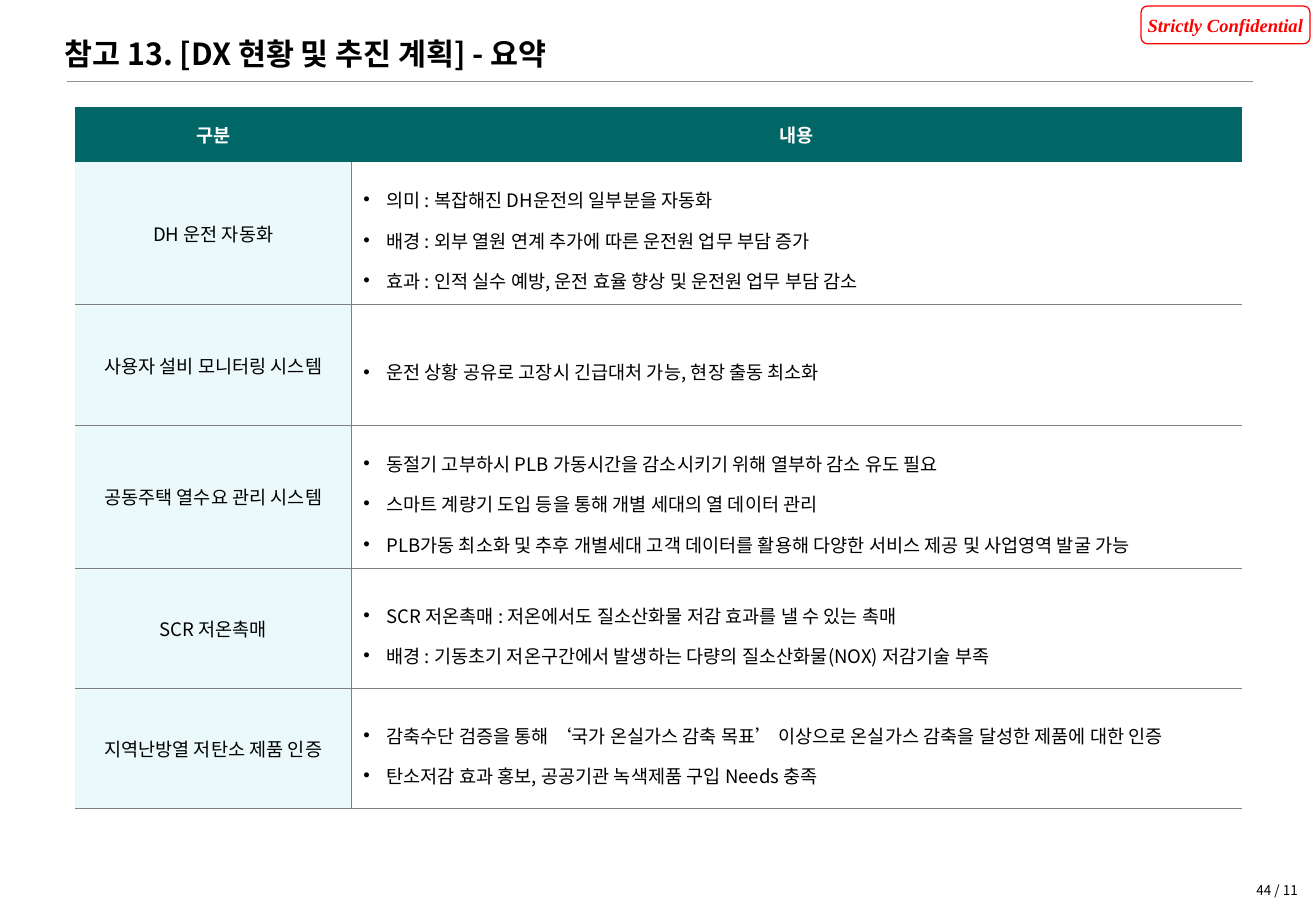
from dataclasses import dataclass

from lxml import etree
from pptx import Presentation
from pptx import util as u
from pptx.dml.color import RGBColor
from pptx.enum import shapes, text
from pptx.oxml import ns


@dataclass(frozen=True)
class Theme:
    """Hold the colours, fonts and type sizes of the slide."""
    body_font: str = "Noto Sans CJK KR"
    stamp_font: str = "Times New Roman"
    ink: str = "000000"
    white: str = "FFFFFF"
    stamp: str = "FF0000"
    rule: str = "929292"
    grid: str = "808080"
    header: str = "006666"
    topic: str = "EBF9FB"
    title_size: int = 18
    body_size: int = 11
    page_size: int = 8


THEME = Theme()
ALIGN = text.PP_ALIGN
MIDDLE = text.MSO_ANCHOR.MIDDLE
HEADINGS = ("구분", "내용")
TOPICS = {
    "DH 운전 자동화": (
        "의미 : 복잡해진 DH운전의 일부분을 자동화",
        "배경 : 외부 열원 연계 추가에 따른 운전원 업무 부담 증가",
        "효과 : 인적 실수 예방, 운전 효율 향상 및 운전원 업무 부담 감소",
    ),
    "사용자 설비 모니터링 시스템": (
        "운전 상황 공유로 고장시 긴급대처 가능, 현장 출동 최소화",
    ),
    "공동주택 열수요 관리 시스템": (
        "동절기 고부하시 PLB 가동시간을 감소시키기 위해 열부하 감소 유도 필요",
        "스마트 계량기 도입 등을 통해 개별 세대의 열 데이터 관리",
        "PLB가동 최소화 및 추후 개별세대 고객 데이터를 활용해 다양한 서비스 제공 및 사업영역 발굴 가능",
    ),
    "SCR 저온촉매": (
        "SCR 저온촉매 : 저온에서도 질소산화물 저감 효과를 낼 수 있는 촉매",
        "배경 : 기동초기 저온구간에서 발생하는 다량의 질소산화물(NOX) 저감기술 부족",
    ),
    "지역난방열 저탄소 제품 인증": (
        "감축수단 검증을 통해 ‘국가 온실가스 감축 목표’ 이상으로 온실가스 감축을 달성한 제품에 대한 인증",
        "탄소저감 효과 홍보, 공공기관 녹색제품 구입 Needs 충족",
    ),
}


def rgb(code):
    """Turn a hex code into a colour."""
    return RGBColor.from_string(code)


def add_element(parent, tag, **attributes):
    """Append a drawing element to its parent."""
    return etree.SubElement(parent, ns.qn(tag), attributes)


def style(paragraph, size, color=THEME.ink, align=ALIGN.LEFT, bold=False,
          italic=False, face=THEME.body_font):
    """Set the alignment and font of a paragraph."""
    paragraph.alignment = align
    font = paragraph.font
    font.size, font.bold, font.italic = u.Pt(size), bold, italic
    font.color.rgb = rgb(color)
    font.name = face
    add_element(font._element, "a:ea", typeface=face)


def set_insets(frame, left, top, right, bottom):
    """Set the four inner margins of a text frame or cell."""
    frame.margin_left, frame.margin_top = u.Inches(left), u.Inches(top)
    frame.margin_right, frame.margin_bottom = u.Inches(right), u.Inches(bottom)


def add_bullet(paragraph):
    """Give a paragraph a hanging bullet and open line spacing."""
    paragraph.line_spacing = 1.5
    properties = paragraph._p.get_or_add_pPr()
    properties.set("marL", str(u.Inches(0.19)))
    properties.set("indent", str(-u.Inches(0.19)))
    add_element(properties, "a:buFont", typeface="Arial")
    add_element(properties, "a:buChar", char="•")


def set_borders(cell, sides):
    """Draw the named sides of a cell and clear the others."""
    properties = cell._tc.get_or_add_tcPr()
    for side in "LRTB":
        border = add_element(properties, f"a:ln{side}", w=str(u.Pt(0.5)))
        if side in sides:
            fill = add_element(border, "a:solidFill")
            add_element(fill, "a:srgbClr", val=THEME.grid)
        else:
            add_element(border, "a:noFill")


def fill_cell(cell, lines, sides, fill=None, bulleted=False, **font):
    """Write, border and fill one table cell."""
    cell.vertical_anchor = MIDDLE
    set_insets(cell, 0.1, 0.04, 0.1, 0.04)
    frame = cell.text_frame
    frame.text = "\n".join(lines)
    for paragraph in frame.paragraphs:
        if bulleted:
            add_bullet(paragraph)
        style(paragraph, THEME.body_size, **font)
    set_borders(cell, sides)
    if fill:
        cell.fill.solid()
        cell.fill.fore_color.rgb = rgb(fill)
    else:
        cell.fill.background()


def add_title(slide, wording):
    """Place and format the slide title."""
    title = slide.shapes.title
    title.left, title.top = u.Inches(0.53), u.Inches(0.28)
    title.width, title.height = u.Inches(6.94), u.Inches(0.36)
    frame = title.text_frame
    frame.text = wording
    frame.vertical_anchor = text.MSO_ANCHOR.TOP
    frame.auto_size = text.MSO_AUTO_SIZE.NONE
    set_insets(frame, 0, 0.05, 0.1, 0.05)
    heading = frame.paragraphs[0]
    heading.line_spacing = 0.86
    style(heading, THEME.title_size, bold=True)


def add_rule(slide):
    """Draw the thin line under the title."""
    rule = slide.shapes.add_connector(
        shapes.MSO_CONNECTOR.STRAIGHT, u.Inches(0.55), u.Inches(0.67),
        u.Inches(10.31), u.Inches(0.67))
    rule.line.color.rgb = rgb(THEME.rule)
    rule.line.width = u.Pt(0.5)
    add_element(rule._element.spPr, "a:effectLst")


def add_stamp(slide, wording):
    """Add the outlined confidentiality stamp."""
    stamp = slide.shapes.add_shape(
        shapes.MSO_SHAPE.ROUNDED_RECTANGLE, u.Inches(9.39), u.Inches(0.05),
        u.Inches(1.39), u.Inches(0.31))
    stamp.shadow.inherit = False
    stamp.fill.background()
    stamp.line.color.rgb = rgb(THEME.stamp)
    stamp.line.width = u.Pt(0.75)
    frame = stamp.text_frame
    frame.text = wording
    frame.word_wrap = False
    frame.vertical_anchor = MIDDLE
    set_insets(frame, 0.08, 0.04, 0.08, 0.04)
    style(frame.paragraphs[0], THEME.body_size, THEME.stamp, ALIGN.CENTER,
          bold=True, italic=True, face=THEME.stamp_font)


def add_page_number(slide, wording):
    """Add the page number at the lower right."""
    frame = slide.shapes.add_textbox(
        u.Inches(9.92), u.Inches(7.19), u.Inches(0.86), u.Inches(0.27)).text_frame
    frame.text = wording
    frame.word_wrap = True
    frame.vertical_anchor = MIDDLE
    style(frame.paragraphs[0], THEME.page_size, align=ALIGN.RIGHT)


def add_summary(slide):
    """Add the table of topics and their details."""
    summary = slide.shapes.add_table(
        len(TOPICS) + 1, len(HEADINGS), u.Inches(0.62), u.Inches(0.88),
        u.Inches(9.6), u.Inches(5.77)).table
    summary.first_row = summary.horz_banding = False
    for column, width in zip(summary.columns, (2.27, 7.33)):
        column.width = u.Inches(width)
    summary.rows[0].height = u.Inches(0.45)
    for column, heading in enumerate(HEADINGS):
        fill_cell(summary.cell(0, column), [heading], "", THEME.header,
                  color=THEME.white, align=ALIGN.CENTER, bold=True)
    for row, (topic, details) in enumerate(TOPICS.items(), start=1):
        summary.rows[row].height = u.Inches(1.18 if len(details) == 3 else 0.99)
        top = "T" if row > 1 else ""
        fill_cell(summary.cell(row, 0), [topic], "RB" + top, THEME.topic,
                  align=ALIGN.CENTER)
        fill_cell(summary.cell(row, 1), details, "LB" + top, bulleted=True)


def main():
    """Build and save the slide."""
    deck = Presentation()
    deck.slide_width, deck.slide_height = u.Inches(10.83), u.Inches(7.5)
    slide = deck.slides.add_slide(deck.slide_layouts[5])
    add_stamp(slide, "Strictly Confidential")
    add_rule(slide)
    add_page_number(slide, "44 / 11")
    add_title(slide, "참고 13. [DX 현황 및 추진 계획] - 요약")
    add_summary(slide)
    deck.save("out.pptx")


if __name__ == "__main__":
    main()
